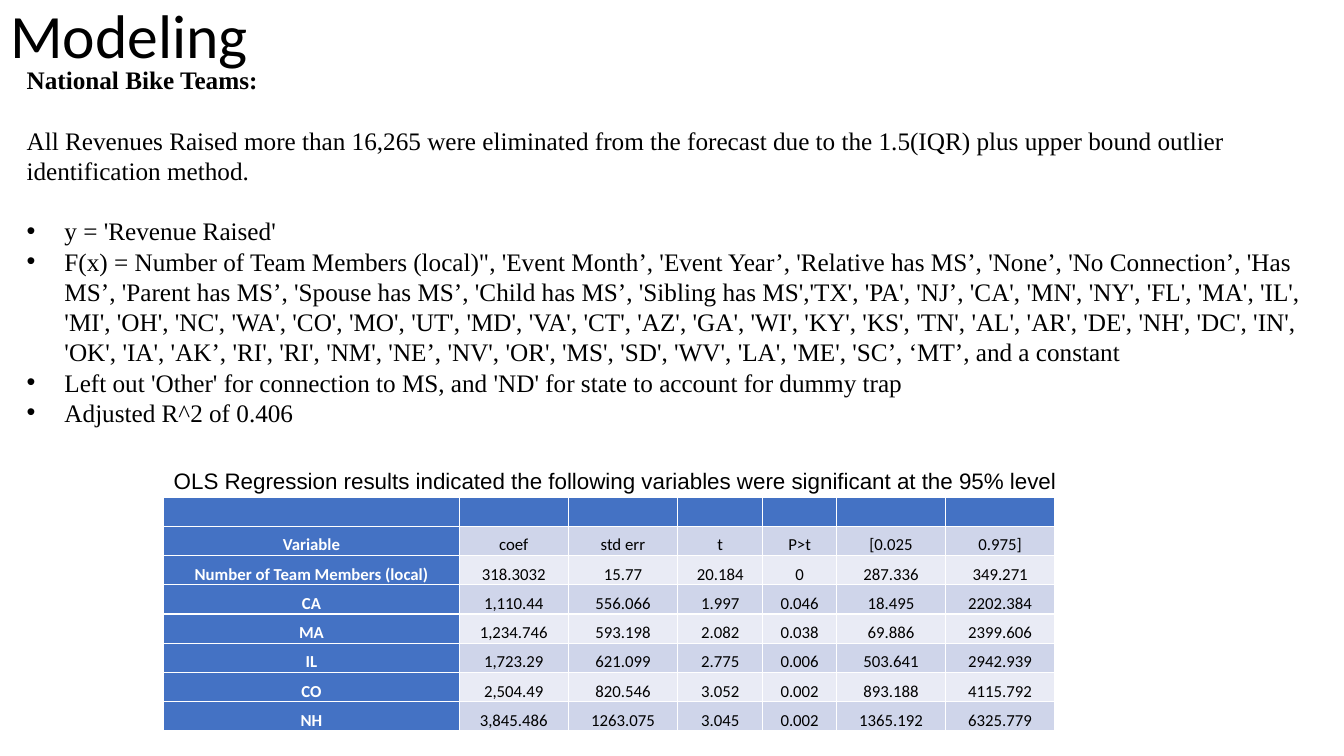
from lxml.etree import SubElement
from pptx import Presentation
from pptx.dml.color import RGBColor
from pptx.enum.text import MSO_ANCHOR as Anchor, MSO_AUTO_SIZE as AutoSize, PP_ALIGN as Align
from pptx.oxml.ns import qn
from pptx.util import Pt

COLORS = {"text": "000000", "white": "FFFFFF", "head": "4472C4",
          "dark_band": "CFD5EA", "light_band": "E9EBF5"}
TITLE_FONT, BODY_FONT, CAPTION_FONT = "Calibri", "Times New Roman", "Arial"
BLANK_LINE = 21.6

INTRO = ("All Revenues Raised more than 16,265 were eliminated from the forecast "
         "due to the 1.5(IQR) plus upper bound outlier identification method.")
MODEL_NOTES = [
    "y = 'Revenue Raised'",
    "F(x) = Number of Team Members (local)\", 'Event Month’, 'Event Year’, "
    "'Relative has MS’, 'None’, 'No Connection’, 'Has MS’, 'Parent has MS’, "
    "'Spouse has MS’, 'Child has MS’, 'Sibling has MS','TX', 'PA', 'NJ’, 'CA', "
    "'MN', 'NY', 'FL', 'MA', 'IL', 'MI', 'OH', 'NC', 'WA', 'CO', 'MO', 'UT', "
    "'MD', 'VA', 'CT', 'AZ', 'GA', 'WI', 'KY', 'KS', 'TN', 'AL', 'AR', 'DE', "
    "'NH', 'DC', 'IN', 'OK', 'IA', 'AK’, 'RI', 'RI', 'NM', 'NE’, 'NV', 'OR', "
    "'MS', 'SD', 'WV', 'LA', 'ME', 'SC’, ‘MT’, and a constant",
    "Left out 'Other' for connection to MS, and 'ND' for state to account for dummy trap",
    "Adjusted R^2 of 0.406",
]
CAPTION = ("OLS Regression results indicated the following variables "
           "were significant at the 95% level")
COLUMN_WIDTHS = [211, 78, 78, 61, 52.5, 78, 78]
RESULTS = [
    [""] * len(COLUMN_WIDTHS),
    ["Variable", "coef", "std err", "t", "P>t", "[0.025", "0.975]"],
    ["Number of Team Members (local)", "318.3032", "15.77", "20.184", "0", "287.336", "349.271"],
    ["CA", "1,110.44", "556.066", "1.997", "0.046", "18.495", "2202.384"],
    ["MA", "1,234.746", "593.198", "2.082", "0.038", "69.886", "2399.606"],
    ["IL", "1,723.29", "621.099", "2.775", "0.006", "503.641", "2942.939"],
    ["CO", "2,504.49", "820.546", "3.052", "0.002", "893.188", "4115.792"],
    ["NH", "3,845.486", "1263.075", "3.045", "0.002", "1365.192", "6325.779"],
]


def write(p, text, font=BODY_FONT, size=18, color="text", bold=False,
          align=Align.LEFT, spacing=None, before=0, bullet=False):
    """Fill one paragraph; an empty text only fixes the height of its line."""
    p.alignment = align
    p.space_before = Pt(before)
    if spacing:
        p.line_spacing = spacing
    if bullet:
        pPr = p._p.get_or_add_pPr()
        pPr.set("marL", str(Pt(27)))
        pPr.set("indent", str(-Pt(27)))
        SubElement(pPr, qn("a:buFont"), typeface=CAPTION_FONT)
        SubElement(pPr, qn("a:buChar"), char="•")
        tabs = SubElement(pPr, qn("a:tabLst"))
        SubElement(tabs, qn("a:tab"), pos=str(Pt(36)), algn="l")
    if not text:
        SubElement(p._p, qn("a:endParaRPr"), sz=str(size * 100))
        return
    r = p.add_run()
    r.text = text
    r.font.name, r.font.size, r.font.bold = font, Pt(size), bold
    r.font.color.rgb = RGBColor.from_string(COLORS[color])


class SlideBuilder:
    def __init__(self, prs):
        self.slide = prs.slides.add_slide(prs.slide_layouts[5])

    def title(self, text, x, y, w, h):
        sp = self.slide.shapes.title
        sp.left, sp.top, sp.width, sp.height = Pt(x), Pt(y), Pt(w), Pt(h)
        tf = sp.text_frame
        tf.vertical_anchor = Anchor.TOP
        tf.auto_size = AutoSize.NONE
        write(tf.paragraphs[0], text, font=TITLE_FONT, size=44, spacing=0.9)

    def text_box(self, paragraphs, x, y, w, h, wrap=True, anchor=Anchor.TOP):
        """Add a box from (text, format) pairs, one for each paragraph."""
        tf = self.slide.shapes.add_textbox(Pt(x), Pt(y), Pt(w), Pt(h)).text_frame
        tf.word_wrap = wrap
        tf.vertical_anchor = anchor
        tf.auto_size = AutoSize.SHAPE_TO_FIT_TEXT
        for i, (text, style) in enumerate(paragraphs):
            write(tf.add_paragraph() if i else tf.paragraphs[0], text, **style)

    def table(self, rows, widths, x, y, row_height):
        frame = self.slide.shapes.add_table(len(rows), len(widths), Pt(x), Pt(y),
                                            Pt(sum(widths)), Pt(row_height * len(rows)))
        table = frame.table
        table.first_col = True
        for column, width in zip(table.columns, widths):
            column.width = Pt(width)
        for i, values in enumerate(rows):
            table.rows[i].height = Pt(row_height)
            band = "dark_band" if i % 2 else "light_band"
            for j, value in enumerate(values):
                self.cell(table.cell(i, j), value, i == 0 or j == 0, band)

    def cell(self, cell, text, is_head, band):
        cell.fill.solid()
        cell.fill.fore_color.rgb = RGBColor.from_string(COLORS["head" if is_head else band])
        cell.vertical_anchor = Anchor.BOTTOM
        cell.margin_left = cell.margin_right = Pt(5)
        cell.margin_top = cell.margin_bottom = 0
        write(cell.text_frame.paragraphs[0], text, font=TITLE_FONT, size=12,
              color="white" if is_head else "text", bold=is_head,
              align=Align.CENTER, spacing=1.07)


def main():
    prs = Presentation()
    prs.slide_width, prs.slide_height = Pt(960), Pt(540)
    s = SlideBuilder(prs)
    s.title("Modeling", 0, 0, 985.5, 58.5)
    notes = [(text, {"bullet": True, "before": 0 if i else BLANK_LINE})
             for i, text in enumerate(MODEL_NOTES)]
    s.text_box([("National Bike Teams:", {"bold": True}),
                (INTRO, {"before": BLANK_LINE}), *notes], 12, 42.5, 936, 269.5)
    s.table(RESULTS, COLUMN_WIDTHS, 117, 355, 20.9)
    s.text_box([(CAPTION, {"font": CAPTION_FONT, "size": 16})],
               117, 330, 652.5, 26.5, wrap=False, anchor=Anchor.MIDDLE)
    prs.save("out.pptx")


if __name__ == "__main__":
    main()
